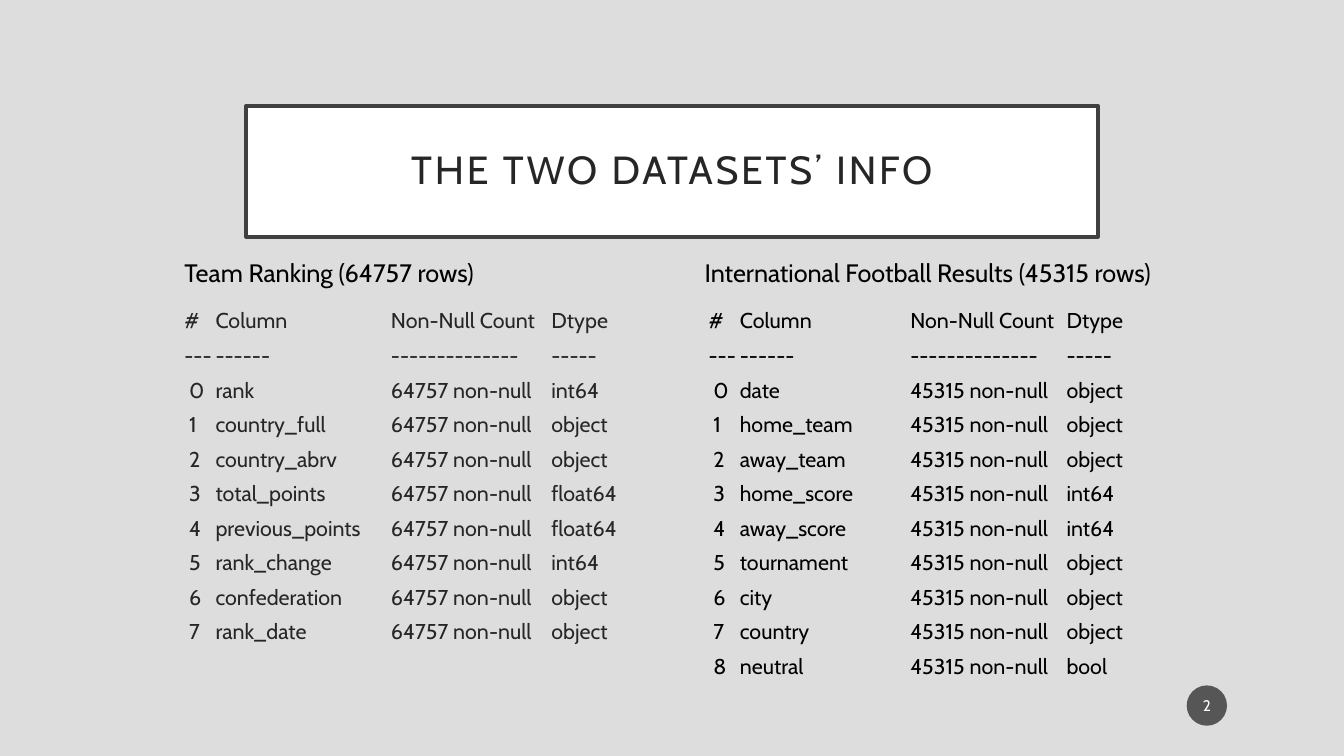
import dataclasses

import pptx
import pptx.dml.color
import pptx.enum.shapes
import pptx.enum.text
import pptx.oxml
import pptx.oxml.ns
import pptx.util
from pptx.util import Inches

Rgb = pptx.dml.color.RGBColor.from_string
Pt = pptx.util.Pt
Align = pptx.enum.text.PP_ALIGN
Shape = pptx.enum.shapes.MSO_SHAPE


@dataclasses.dataclass(frozen=True)
class Theme:
    font: str = "Cabin"
    back: str = "DDDDDD"
    white: str = "FFFFFF"
    black: str = "000000"
    ink: str = "262626"
    frame: str = "404040"
    badge: str = "1D1D1D"
    title: float = 28
    head: float = 18
    body: float = 15.3
    page: float = 11


THEME = Theme()

RANKS = [
    ("rank", "int64"), ("country_full", "object"), ("country_abrv", "object"),
    ("total_points", "float64"), ("previous_points", "float64"),
    ("rank_change", "int64"), ("confederation", "object"), ("rank_date", "object"),
]
GAMES = [
    ("date", "object"), ("home_team", "object"), ("away_team", "object"),
    ("home_score", "int64"), ("away_score", "int64"), ("tournament", "object"),
    ("city", "object"), ("country", "object"), ("neutral", "bool"),
]


def style(para, size, color):
    for run in para.runs:
        run.font.name = THEME.font
        run.font.size = Pt(size)
        run.font.color.rgb = Rgb(color)


def set_tabs(para, stops):
    props = para._p.get_or_add_pPr()
    tabs = pptx.oxml.parse_xml(f"<a:tabLst {pptx.oxml.ns.nsdecls('a')}/>")
    for stop in stops:
        tab = tabs.makeelement(pptx.oxml.ns.qn("a:tab"), {"pos": str(Inches(stop)), "algn": "l"})
        tabs.append(tab)
    props.append(tabs)


def add_box(slide, kind, box, fill, text, size, color, inset):
    shape = slide.shapes.add_shape(kind, *map(Inches, box))
    shape.shadow.inherit = False
    shape.fill.solid()
    shape.fill.fore_color.rgb = Rgb(fill)
    shape.line.fill.background()
    frame = shape.text_frame
    frame.margin_left = frame.margin_right = Inches(inset)
    frame.vertical_anchor = pptx.enum.text.MSO_ANCHOR.MIDDLE
    frame.text = text
    para = frame.paragraphs[0]
    para.alignment = Align.CENTER
    style(para, size, color)
    return shape


def add_text(slide, box, text, size, color, stops):
    frame = slide.shapes.add_textbox(*map(Inches, box)).text_frame
    frame.word_wrap = True
    frame.text = text
    for para in frame.paragraphs:
        style(para, size, color)
    return [(para, stops) for para in frame.paragraphs]


def add_info(slide, left, count, fields, color, stops):
    lines = ["#\tColumn\tNon-Null Count\tDtype", "---\t------\t--------------\t-----"]
    lines += [f" {i}\t{name}\t{count} non-null\t{kind}" for i, (name, kind) in enumerate(fields)]
    box = (left, 3.05, 4.67, 3.69)
    for para, tabs in add_text(slide, box, "\n".join(lines), THEME.body, color, stops):
        para.line_spacing = 0.8
        para.space_before = Pt(10)
        set_tabs(para, tabs)


def add_title(slide, text):
    box = (2.44, 1.05, 8.45, 1.3)
    shape = add_box(slide, Shape.RECTANGLE, box, THEME.white, text, THEME.title, THEME.ink, 0.2)
    shape.line.color.rgb = Rgb(THEME.frame)
    shape.line.width = Pt(2.5)
    para = shape.text_frame.paragraphs[0]
    para.line_spacing = 0.9
    para.runs[0].font._element.set("spc", "200")


def add_heads(slide, left, right):
    box = (1.73, 2.5, 11.34, 0.4)
    for para, tabs in add_text(slide, box, f"{left}\t{right}", THEME.head, THEME.black, [5.16]):
        set_tabs(para, tabs)


def add_page(slide, text):
    box = (11.77, 6.8, 0.4, 0.4)
    shape = add_box(slide, Shape.OVAL, box, THEME.badge, text, THEME.page, THEME.white, 0.02)
    color = shape._element.spPr.find(".//" + pptx.oxml.ns.qn("a:srgbClr"))
    color.append(color.makeelement(pptx.oxml.ns.qn("a:alpha"), {"val": "70000"}))


def main():
    deck = pptx.Presentation()
    deck.slide_width, deck.slide_height = Inches(13.33), Inches(7.5)
    slide = deck.slides.add_slide(deck.slide_layouts[6])
    slide.background.fill.solid()
    slide.background.fill.fore_color.rgb = Rgb(THEME.back)
    add_title(slide, "THE TWO DATASETS’ INFO")
    add_info(slide, 1.73, 64757, RANKS, THEME.ink, [0.31, 2.05, 3.64])
    add_info(slide, 6.93, 45315, GAMES, THEME.black, [0.31, 2, 3.55])
    add_heads(slide, "Team Ranking (64757 rows)", "International Football Results (45315 rows)")
    add_page(slide, "2")
    deck.save("out.pptx")


if __name__ == "__main__":
    main()
